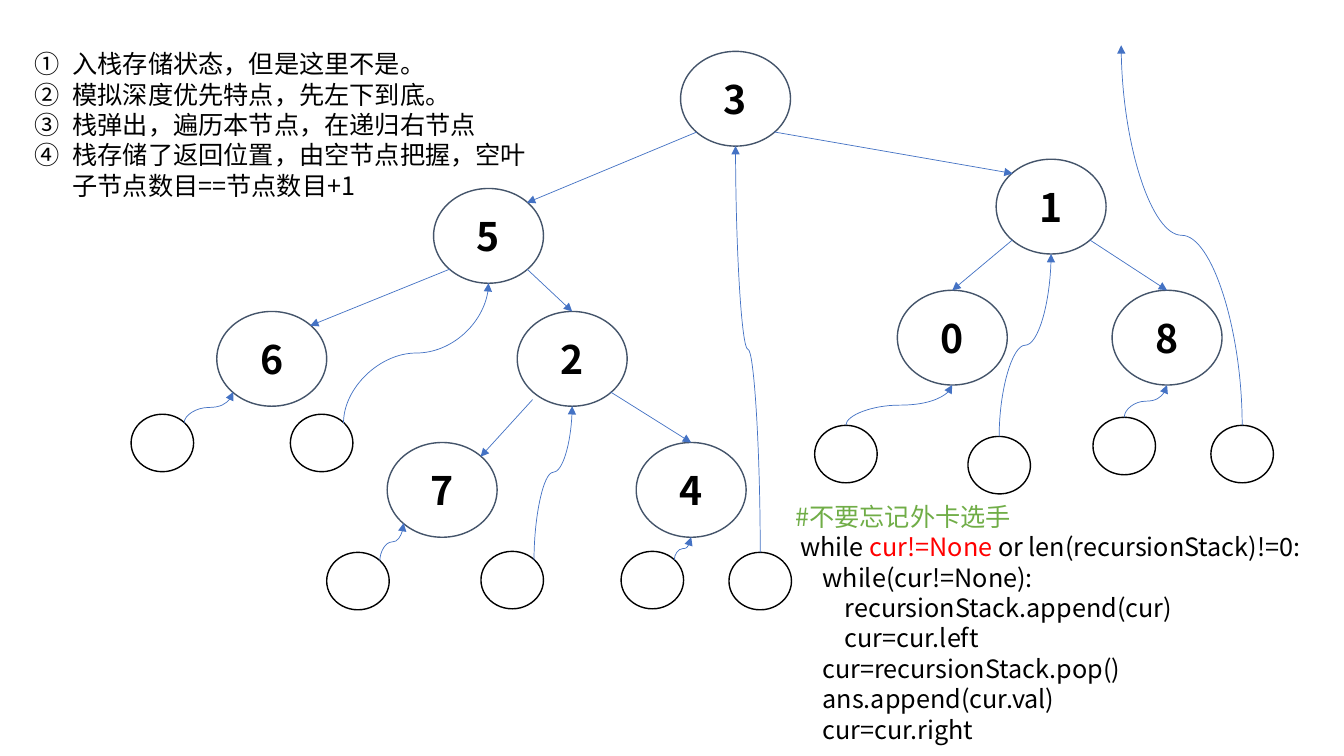
from lxml import etree
from pptx import Presentation
from pptx.dml.color import RGBColor
from pptx.enum import shapes, text
from pptx.oxml import ns
from pptx.util import Inches, Pt

WHITE = RGBColor(0xFF, 0xFF, 0xFF)
BLACK = RGBColor(0x00, 0x00, 0x00)
SLATE = RGBColor(0x44, 0x54, 0x6A)
BLUE = RGBColor(0x44, 0x72, 0xC4)
GREEN = RGBColor(0x70, 0xAD, 0x47)
RED = RGBColor(0xFF, 0x00, 0x00)
FONT = "Noto Sans CJK JP"

NODE_SIZE = (1.09, 0.94)
LEAF_SIZE = (0.62, 0.57)

# Attachment points on an ellipse, as fractions of its box
SITES = {
    "top": (0.5, 0), "bottom": (0.5, 1),
    "top left": (0.15, 0.15), "top right": (0.85, 0.15),
    "bottom left": (0.15, 0.85), "bottom right": (0.85, 0.85),
    "low left": (0.14, 0.93),
}

# Value: left, top
NODES = {
    "3": (6.75, 0.51), "5": (4.3, 1.87), "1": (9.88, 1.58),
    "6": (2.15, 3.09), "2": (5.13, 3.09), "7": (3.84, 4.39),
    "4": (6.31, 4.39), "0": (8.9, 2.88), "8": (11.03, 2.88),
}

# Parent, its site, child, its site
BRANCHES = [
    ("3", "bottom left", "5", "top right"),
    ("3", "bottom right", "1", "top left"),
    ("1", "bottom right", "8", "top"),
    ("1", "bottom left", "0", "top"),
    ("5", "bottom right", "2", "top"),
    ("5", "bottom left", "6", "top right"),
    ("2", "low left", "7", "top right"),
    ("2", "bottom right", "4", "top"),
]

# Left, top, rotation, leaf site, node returned to, its site, bend
LEAVES = [
    (1.3, 4.11, 0, "top right", "6", "bottom left", 0.5),
    (2.88, 4.11, 0, "top right", "5", "bottom", 0.5),
    (3.24, 5.48, 0, "top right", "7", "bottom left", 0.5),
    (4.77, 5.47, 0, "top right", "2", "bottom", 0.57),
    (6.16, 5.47, 0, "top right", "4", "bottom", 0.5),
    (7.23, 5.48, 0, "top", "3", "bottom", 0.5),
    (8.08, 4.22, 0, "top", "0", "bottom", 0.5),
    (9.6, 4.33, 3.9, "top", "1", "bottom", 0.5),
    (10.84, 4.14, 0, "top", "8", "bottom", 0.5),
    (12.01, 4.22, 0, "top", None, None, 0.5),
]
EXIT = (11.12, 0.45)

NOTES = [
    "入栈存储状态，但是这里不是。",
    "模拟深度优先特点，先左下到底。",
    "栈弹出，遍历本节点，在递归右节点",
    "栈存储了返回位置，由空节点把握，空叶子节点数目==节点数目+1",
]

# Left indent, then pieces of text with their colours
CODE = [
    (0.39, [("#不要忘记外卡选手", GREEN)]),
    (0.44, [("while ", BLACK), ("cur!=None", RED),
            (" or len(recursionStack)!=0:", BLACK)]),
    (0.66, [("while(cur!=None):", BLACK)]),
    (0.88, [("recursionStack.append(cur)", BLACK)]),
    (0.88, [("cur=cur.left", BLACK)]),
    (0.66, [("cur=recursionStack.pop()", BLACK)]),
    (0.66, [("ans.append(cur.val)", BLACK)]),
    (0.66, [("cur=cur.right", BLACK)]),
]


def site_point(corner, size, site):
    return tuple(c + s * f for c, s, f in zip(corner, size, SITES[site]))


def set_font(paragraph, size, color=None, bold=False):
    font = paragraph.font
    font.name, font.size, font.bold = FONT, Pt(size), bold
    if color is not None:
        font.color.rgb = color
    latin = paragraph._p.pPr.find(".//" + ns.qn("a:latin"))
    east_asian = etree.Element(ns.qn("a:ea"), typeface=FONT)
    latin.addnext(east_asian)


def add_circle(slide, corner, size, outline):
    circle = slide.shapes.add_shape(
        shapes.MSO_SHAPE.OVAL, *map(Inches, corner + size))
    circle.shadow.inherit = False
    circle.fill.solid()
    circle.fill.fore_color.rgb = WHITE
    circle.line.color.rgb = outline
    circle.line.width = Pt(1)
    return circle


def add_arrow(slide, kind, start, end):
    arrow = slide.shapes.add_connector(kind, *map(Inches, start + end))
    arrow.line.color.rgb = BLUE
    arrow.line.width = Pt(0.5)
    etree.SubElement(arrow.line._get_or_add_ln(), ns.qn("a:tailEnd"), type="triangle")
    etree.SubElement(arrow._element.spPr, ns.qn("a:effectLst"))
    return arrow


def add_return_arrow(slide, start, end, bend):
    """Curve that leaves and arrives vertically: a turned horizontal S."""
    (x1, y1), (x2, y2) = start, end
    mid_x, mid_y = (x1 + x2) / 2, (y1 + y2) / 2
    half_w, half_h = (y1 - y2) / 2, abs(x2 - x1) / 2
    side = 1 if x2 > x1 else -1
    arrow = add_arrow(slide, shapes.MSO_CONNECTOR.CURVE,
                      (mid_x + side * half_w, mid_y + half_h),
                      (mid_x - side * half_w, mid_y - half_h))
    properties = arrow._element.spPr
    quarter_turns = 1 if side == 1 else 3
    properties.find(ns.qn("a:xfrm")).set("rot", str(quarter_turns * 5400000))
    guides = properties.find(".//" + ns.qn("a:avLst"))
    etree.SubElement(guides, ns.qn("a:gd"), name="adj1",
                     fmla=f"val {round(bend * 100000)}")


def add_tree(slide):
    # Numbered nodes
    for value, corner in NODES.items():
        node = add_circle(slide, corner, NODE_SIZE, SLATE)
        node.text_frame.vertical_anchor = text.MSO_ANCHOR.MIDDLE
        label = node.text_frame.paragraphs[0]
        label.text = value
        label.alignment = text.PP_ALIGN.CENTER
        set_font(label, 28, BLACK, bold=True)

    # Branches from parent to child
    for parent, leave, child, arrive in BRANCHES:
        add_arrow(slide, shapes.MSO_CONNECTOR.STRAIGHT,
                  site_point(NODES[parent], NODE_SIZE, leave),
                  site_point(NODES[child], NODE_SIZE, arrive))

    # Empty leaves and the way back from each
    for left, top, rotation, leave, node, arrive, bend in LEAVES:
        leaf = add_circle(slide, (left, top), LEAF_SIZE, BLACK)
        leaf.rotation = rotation
        target = site_point(NODES[node], NODE_SIZE, arrive) if node else EXIT
        add_return_arrow(slide, site_point((left, top), LEAF_SIZE, leave), target, bend)


def add_lines(slide, box, lines):
    """Text box with one paragraph per (indent, pieces); returns its paragraphs."""
    frame = slide.shapes.add_textbox(*map(Inches, box)).text_frame
    frame.word_wrap = True
    for index, (indent, pieces) in enumerate(lines):
        line = frame.paragraphs[0] if index == 0 else frame.add_paragraph()
        line.line_spacing = Pt(21.7)
        line._p.get_or_add_pPr().set("marL", str(Inches(indent)))
        colors = {color for _, color in pieces}
        set_font(line, 18, pieces[0][1] if len(colors) == 1 else None)
        for words, color in pieces:
            run = line.add_run()
            run.text = words
            if len(colors) > 1:
                run.font.color.rgb = color
    return frame.paragraphs


def add_notes(slide, box):
    for note in add_lines(slide, box, [(0.38, [(words, BLACK)]) for words in NOTES]):
        properties = note._p.pPr
        properties.set("indent", str(-Inches(0.38)))
        number = etree.Element(ns.qn("a:buAutoNum"), type="circleNumDbPlain")
        properties.find(ns.qn("a:defRPr")).addprevious(number)


def main():
    deck = Presentation()
    deck.slide_width, deck.slide_height = Inches(13.33), Inches(7.5)
    slide = deck.slides.add_slide(deck.slide_layouts[6])
    add_tree(slide)
    add_notes(slide, (0.24, 0.43, 5.26, 1.62))
    add_lines(slide, (7.4, 4.92, 6.53, 2.52), CODE)
    deck.save("out.pptx")


if __name__ == "__main__":
    main()
